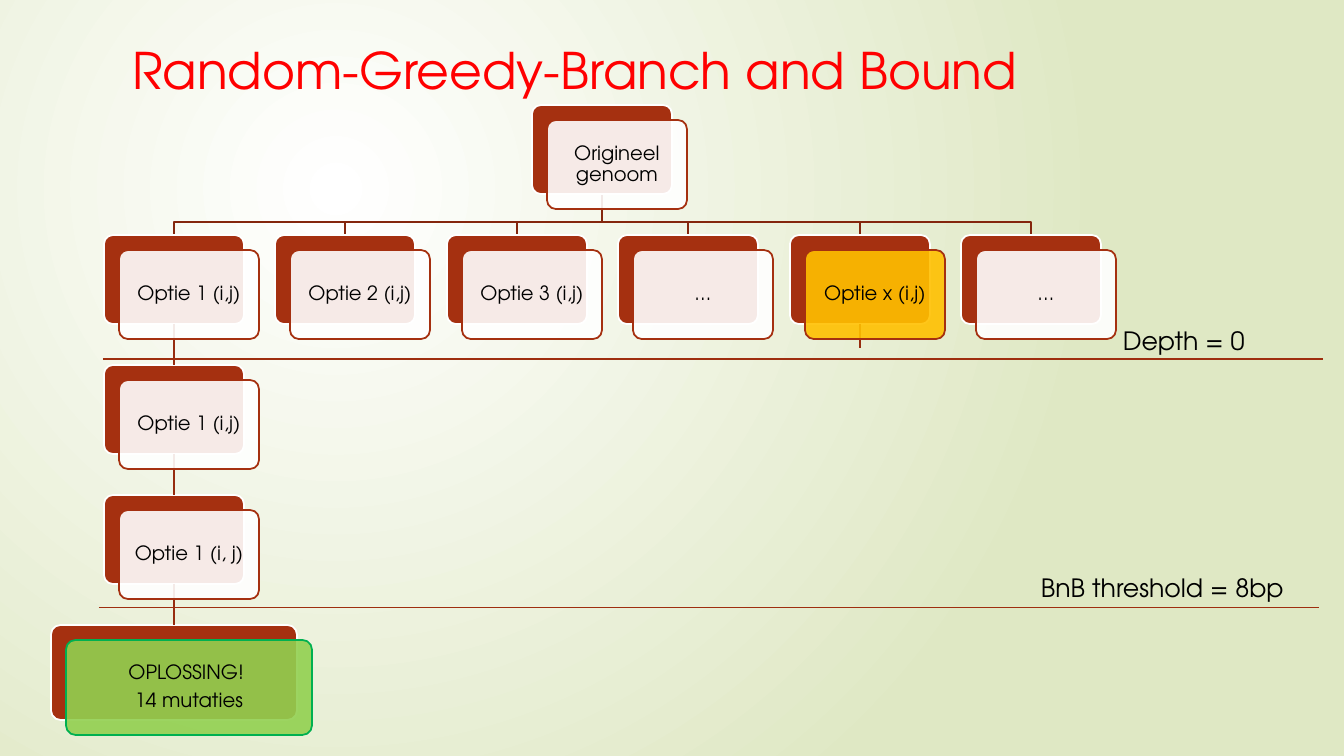
"""Builds the Random-Greedy-Branch and Bound search tree slide."""
from dataclasses import dataclass

import pptx
import pptx.dml.color
import pptx.enum.shapes
import pptx.enum.text
import pptx.oxml
import pptx.oxml.ns
import pptx.util

EMU_PER_PX = 914400 / 100.8
FONT = "TeX Gyre Adventor"
COLORS = {
    "title": "FF0000",
    "text": "000000",
    "glow": "FFFFFF",
    "ground": "DFE8C4",
    "card": "A53010",
    "white": "FFFFFF",
    "chosen": "FFC000",
    "solution": "92D050",
    "solution_edge": "00B050",
    "branch": "84260D",
    "descent": "962C0F",
    "level": "9E2E0F",
}
FIRST_LEFT, FIRST_TOP, ROW_STEP = 104, 235, 130
CARD_WIDTH, CARD_HEIGHT, CARD_SHIFT = 140, 89, 15
BRANCH_Y = 222


@dataclass(frozen=True)
class Card:
    text: str
    left: int
    top: int
    width: int = CARD_WIDTH
    height: int = CARD_HEIGHT
    face: str = "white"
    edge: str = "card"

    @property
    def center(self) -> int:
        return self.left + self.width // 2

    @property
    def bottom(self) -> int:
        return self.top + self.height


@dataclass(frozen=True)
class Level:
    text: str
    line_left: int
    line_top: int
    label_left: int
    label_top: int
    label_width: int


def px(length: int) -> pptx.util.Emu:
    return pptx.util.Emu(round(length * EMU_PER_PX))


def rgb(name: str) -> pptx.dml.color.RGBColor:
    return pptx.dml.color.RGBColor.from_string(COLORS[name])


def style_line(line, color: str, width: float = 1.25) -> None:
    line.color.rgb = rgb(color)
    line.width = pptx.util.Pt(width)


def style_text(text_frame, size: int, color: str = "text") -> None:
    for paragraph in text_frame.paragraphs:
        for run in paragraph.runs:
            run.font.name = FONT
            run.font.size = pptx.util.Pt(size)
            run.font.color.rgb = rgb(color)


def paint_background(slide) -> None:
    fill = slide.background.fill
    fill.gradient()
    for stop, name, position in zip(fill.gradient_stops, ("glow", "ground"), (0, 1)):
        stop.color.rgb = rgb(name)
        stop.position = position
    gradient = slide.element.find(".//" + pptx.oxml.ns.qn("a:gradFill"))
    gradient.remove(gradient.find(pptx.oxml.ns.qn("a:lin")))
    gradient.append(pptx.oxml.parse_xml(
        f'<a:path {pptx.oxml.ns.nsdecls("a")} path="circle">'
        '<a:fillToRect l="50000" t="50000" r="100000" b="100000"/></a:path>'))


def add_title(slide, text: str) -> None:
    title = slide.shapes.title
    title.left, title.top, title.width, title.height = px(122), px(34), px(983), px(141)
    title.text_frame.text = text
    title.text_frame.vertical_anchor = pptx.enum.text.MSO_ANCHOR.TOP
    title.text_frame.paragraphs[0].alignment = pptx.enum.text.PP_ALIGN.LEFT
    style_text(title.text_frame, 36, "title")


def add_panel(slide, card: Card, shift: int, fill: str, edge: str):
    panel = slide.shapes.add_shape(
        pptx.enum.shapes.MSO_SHAPE.ROUNDED_RECTANGLE, px(card.left + shift),
        px(card.top + shift), px(card.width), px(card.height))
    panel.adjustments[0] = 0.1
    panel.shadow.inherit = False
    panel.fill.solid()
    panel.fill.fore_color.rgb = rgb(fill)
    style_line(panel.line, edge)
    return panel


def add_face(slide, card: Card) -> None:
    face = add_panel(slide, card, CARD_SHIFT, card.face, card.edge)
    color = face.element.spPr.find(
        pptx.oxml.ns.qn("a:solidFill")).find(pptx.oxml.ns.qn("a:srgbClr"))
    color.append(pptx.oxml.parse_xml(
        f'<a:alpha {pptx.oxml.ns.nsdecls("a")} val="90000"/>'))
    frame = face.text_frame
    frame.text = card.text
    frame.word_wrap = True
    frame.vertical_anchor = pptx.enum.text.MSO_ANCHOR.MIDDLE
    frame.margin_left = frame.margin_right = px(9)
    frame.margin_top = frame.margin_bottom = px(9)
    for paragraph in frame.paragraphs:
        paragraph.alignment = pptx.enum.text.PP_ALIGN.CENTER
        paragraph.line_spacing = 0.9
        paragraph.space_after = pptx.util.Pt(5)
    style_text(frame, 14)


def add_branch(slide, parent: Card, child: Card) -> None:
    builder = slide.shapes.build_freeform(parent.center, parent.bottom, EMU_PER_PX)
    builder.add_line_segments(
        [(parent.center, BRANCH_Y), (child.center, BRANCH_Y),
         (child.center, child.top)], close=False)
    branch = builder.convert_to_shape()
    branch.shadow.inherit = False
    branch.fill.background()
    style_line(branch.line, "branch")


def add_line(slide, start: tuple[int, int], end: tuple[int, int],
             color: str, width: float = 1.25):
    line = slide.shapes.add_connector(
        pptx.enum.shapes.MSO_CONNECTOR.STRAIGHT,
        px(start[0]), px(start[1]), px(end[0]), px(end[1]))
    style_line(line.line, color, width)
    line.element.spPr.append(pptx.oxml.parse_xml(
        f'<a:effectLst {pptx.oxml.ns.nsdecls("a")}/>'))
    return line


def add_level(slide, level: Level) -> None:
    add_line(slide, (level.line_left, level.line_top),
             (level.line_left + 1220, level.line_top), "level", 0.75)
    label = slide.shapes.add_textbox(
        px(level.label_left), px(level.label_top), px(level.label_width), px(40))
    label.text_frame.text = level.text
    label.text_frame.word_wrap = True
    label.text_frame.auto_size = pptx.enum.text.MSO_AUTO_SIZE.SHAPE_TO_FIT_TEXT
    style_text(label.text_frame, 18)


def main() -> None:
    presentation = pptx.Presentation()
    presentation.slide_width, presentation.slide_height = px(1344), px(756)
    slide = presentation.slides.add_slide(presentation.slide_layouts[5])
    paint_background(slide)
    add_title(slide, "Random-Greedy-Branch and Bound")

    genome = Card("Origineel genoom", 532, FIRST_TOP - ROW_STEP)
    option_texts = ("Optie 1 (i,j)", "Optie 2 (i,j)", "Optie 3 (i,j)", "…", "Optie x (i,j)", "…")
    options = [
        Card(text, FIRST_LEFT + 343 * column // 2, FIRST_TOP,
             face="chosen" if text == "Optie x (i,j)" else "white")
        for column, text in enumerate(option_texts)]
    deeper = [Card(text, FIRST_LEFT, FIRST_TOP + ROW_STEP * depth)
              for depth, text in enumerate(("Optie 1 (i,j)", "Optie 1 (i, j)"), 1)]
    solution = Card("OPLOSSING! \n14 mutaties", 51, FIRST_TOP + ROW_STEP * 3,
                    246, 95, "solution", "solution_edge")
    cards = [genome, *options, *deeper, solution]

    for option in options:
        add_branch(slide, genome, option)
    backs = {card: add_panel(slide, card, 0, "card", "white") for card in cards}
    descent = [options[0], *deeper, solution]
    for upper, lower in zip(descent, descent[1:]):
        step = add_line(slide, (upper.center, upper.bottom),
                        (lower.center, lower.top), "descent")
        step.begin_connect(backs[upper], 2)
        step.end_connect(backs[lower], 0)
    chosen = options[4]
    stub = add_line(slide, (chosen.center, chosen.bottom), (chosen.center, 348), "descent")
    stub.begin_connect(backs[chosen], 2)
    for card in cards:
        add_face(slide, card)

    for level in (Level("Depth = 0", 103, 359, 1113, 320, 210),
                  Level("BnB threshold = 8bp", 99, 608, 1031, 567, 271)):
        add_level(slide, level)
    presentation.save("out.pptx")


if __name__ == "__main__":
    main()
